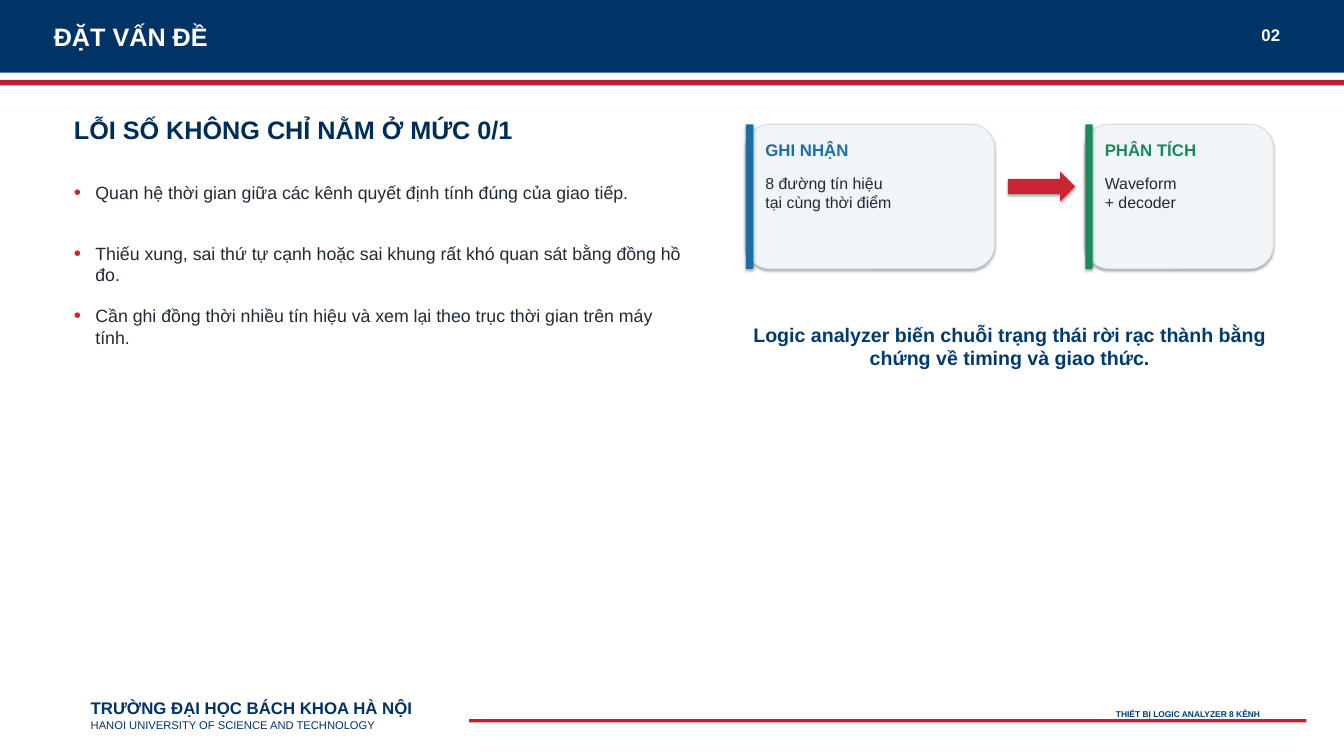
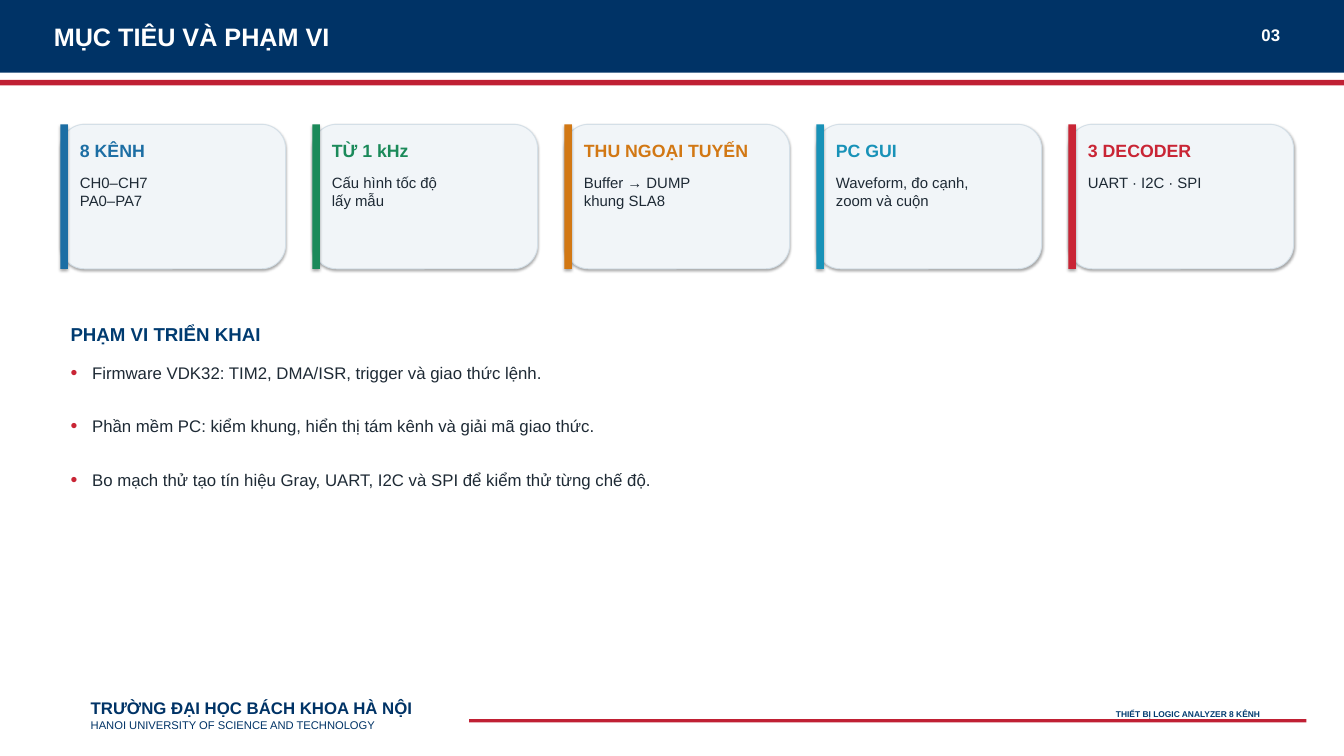
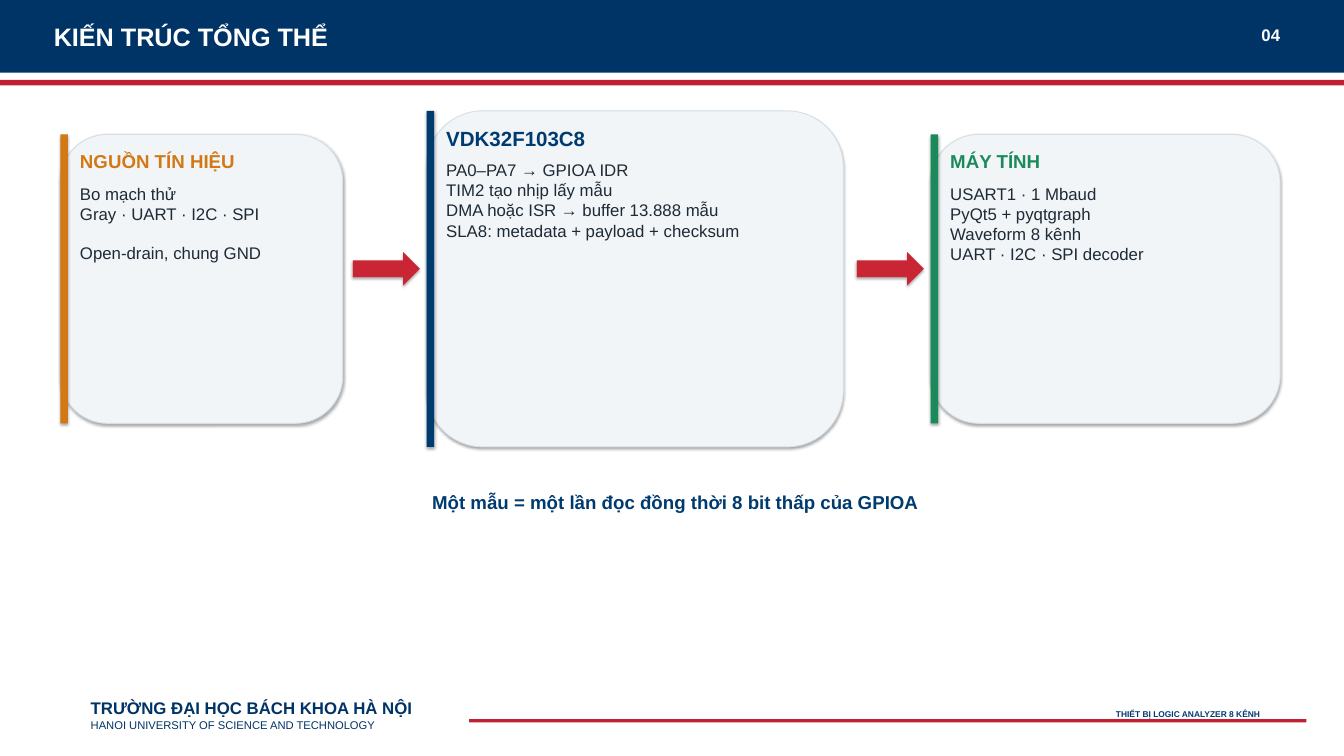
from dataclasses import dataclass

from lxml.etree import SubElement
from pptx import Presentation
from pptx.dml.color import RGBColor
from pptx.enum.shapes import MSO_SHAPE as SHAPE
from pptx.enum.text import MSO_ANCHOR as ANCHOR, MSO_AUTO_SIZE as AUTO, PP_ALIGN as ALIGN
from pptx.oxml.ns import qn
from pptx.util import Inches, Pt


@dataclass(frozen=True)
class Theme:
    font: str = "Arial"
    band: str = "003366"
    rule: str = "C02034"
    navy: str = "003B70"
    deep: str = "002D57"
    ink: str = "1E2A35"
    white: str = "FFFFFF"
    card: str = "F1F5F8"
    edge: str = "D4DFE7"
    blue: str = "1C6EA4"
    green: str = "1B8A5A"
    orange: str = "D27814"
    cyan: str = "1892B8"
    red: str = "C92535"
    title: int = 27
    callout: int = 21
    heading: int = 20
    body: int = 18
    small: int = 12
    tag: int = 9
    line: float = 1.15


T = Theme()
TITLE_AND_BODY, TITLE_ONLY = 1, 5


def rgb(color):
    return RGBColor.from_string(color)


def put(tf, text, size=T.body, color=T.ink, bold=False, align=ALIGN.LEFT,
        before=0, after=0, leading=None):
    p = tf.paragraphs[0]
    if p.text:
        p = tf.add_paragraph()
    p.text = text
    p.alignment = align
    p.space_before, p.space_after = Pt(before), Pt(after)
    if leading:
        p.line_spacing = Pt(leading)
    for r in p.runs:
        r.font.name, r.font.size, r.font.bold = T.font, Pt(size), bold
        r.font.color.rgb = rgb(color)
    return p


def place(sp, box, anchor=ANCHOR.TOP, inset=0.05):
    sp.left, sp.top, sp.width, sp.height = map(Inches, box)
    tf = sp.text_frame
    tf.word_wrap, tf.auto_size, tf.vertical_anchor = True, AUTO.NONE, anchor
    tf.margin_left = tf.margin_right = tf.margin_top = tf.margin_bottom = Inches(inset)
    return tf


def text_frame(s, box, anchor=ANCHOR.TOP, inset=0.05):
    return place(s.shapes.add_textbox(0, 0, 0, 0), box, anchor, inset)


def label(s, box, text, anchor=ANCHOR.TOP, **fmt):
    put(text_frame(s, box, anchor), text, **fmt)


def block(s, kind, box, fill, line=None, shadow=True):
    sp = s.shapes.add_shape(kind, *map(Inches, box))
    sp.fill.solid()
    sp.fill.fore_color.rgb = rgb(fill)
    if line:
        sp.line.color.rgb = rgb(line)
        sp.line.width = Pt(1)
    else:
        sp.line.fill.background()
    if not shadow:
        sp.shadow.inherit = False


def arrow(s, box):
    block(s, SHAPE.RIGHT_ARROW, box, T.red)


def card(s, box, heading, paragraphs, accent, head_size=T.heading, size=T.body):
    x, y, w, h = box
    block(s, SHAPE.ROUNDED_RECTANGLE, box, T.card, T.edge)
    block(s, SHAPE.RECTANGLE, (x, y, 0.11, h), accent)
    label(s, (x + 0.24, y + 0.18, w - 0.42, 0.42), heading,
          size=head_size, color=accent, bold=True)
    tf = text_frame(s, (x + 0.24, y + 0.68, w - 0.42, h - 0.82))
    for i, text in enumerate(paragraphs):
        put(tf, text, size=size, before=size * T.line if i else 0)


def bullets(s, box, items, pitch, size):
    tf = place(s.placeholders[1], box)
    for text, lines in items:
        p = put(tf, text, size=size, after=pitch * 72 - lines * size * T.line)
        pPr = p._p.get_or_add_pPr()
        pPr.set("marL", str(Inches(0.32)))
        pPr.set("indent", str(-Inches(0.32)))
        SubElement(SubElement(pPr, qn("a:buClr")), qn("a:srgbClr"), val=T.red)
        SubElement(pPr, qn("a:buSzPct"), val="116000")
        SubElement(pPr, qn("a:buFont"), typeface=T.font)
        SubElement(pPr, qn("a:buChar"), char="•")


def new_slide(prs, layout, number, title):
    s = prs.slides.add_slide(prs.slide_layouts[layout])
    for box, color in (((0, 0, 20, 1.08), T.band), ((0, 1.19, 20, 0.08), T.rule),
                       ((6.98, 10.7, 12.46, 0.05), T.rule)):
        block(s, SHAPE.RECTANGLE, box, color, shadow=False)
    s.shapes.element.append(s.shapes.title.element)
    put(place(s.shapes.title, (0.75, 0.27, 16.8, 0.55), ANCHOR.MIDDLE), title,
        size=T.title, color=T.white, bold=True)
    label(s, (18.1, 0.27, 1, 0.5), f"{number:02}", ANCHOR.MIDDLE,
          color=T.white, bold=True, align=ALIGN.RIGHT)
    tf = text_frame(s, (1.35, 10.22, 5.4, 0.84), ANCHOR.MIDDLE, inset=0)
    put(tf, "TRƯỜNG ĐẠI HỌC BÁCH KHOA HÀ NỘI", color=T.band, bold=True, leading=21.6)
    put(tf, "HANOI UNIVERSITY OF SCIENCE AND TECHNOLOGY",
        size=T.small, color=T.band, leading=14.4)
    label(s, (13.7, 10.5, 5.1, 0.25), "THIẾT BỊ LOGIC ANALYZER 8 KÊNH",
          size=T.tag, color=T.navy, bold=True, align=ALIGN.RIGHT)
    return s


def problem_slide(prs):
    s = new_slide(prs, TITLE_AND_BODY, 2, "ĐẶT VẤN ĐỀ")
    label(s, (1.05, 1.65, 8.6, 0.62), "LỖI SỐ KHÔNG CHỈ NẰM Ở MỨC 0/1",
          size=T.title, color=T.deep, bold=True)
    bullets(s, (1.05, 2.65, 9.2, 2.7), (
        ("Quan hệ thời gian giữa các kênh quyết định tính đúng của giao tiếp.", 1),
        ("Thiếu xung, sai thứ tự cạnh hoặc sai khung rất khó quan sát bằng đồng hồ đo.", 2),
        ("Cần ghi đồng thời nhiều tín hiệu và xem lại theo trục thời gian trên máy tính.", 2),
    ), pitch=0.9, size=19)
    card(s, (11.1, 1.85, 3.7, 2.15), "GHI NHẬN", ["8 đường tín hiệu\ntại cùng thời điểm"],
         T.blue, head_size=18, size=17)
    arrow(s, (15, 2.55, 1, 0.45))
    card(s, (16.15, 1.85, 2.8, 2.15), "PHÂN TÍCH", ["Waveform\n+ decoder"],
         T.green, head_size=18, size=17)
    label(s, (11.1, 4.55, 7.85, 1.2),
          "Logic analyzer biến chuỗi trạng thái rời rạc thành bằng chứng về timing và giao thức.",
          ANCHOR.MIDDLE, size=T.callout, color=T.navy, bold=True, align=ALIGN.CENTER)


def scope_slide(prs):
    s = new_slide(prs, TITLE_AND_BODY, 3, "MỤC TIÊU VÀ PHẠM VI")
    goals = (
        ("8 KÊNH", "CH0–CH7\nPA0–PA7", T.blue),
        ("TỪ 1 kHz", "Cấu hình tốc độ\nlấy mẫu", T.green),
        ("THU NGOẠI TUYẾN", "Buffer → DUMP\nkhung SLA8", T.orange),
        ("PC GUI", "Waveform, đo cạnh,\nzoom và cuộn", T.cyan),
        ("3 DECODER", "UART · I2C · SPI", T.red),
    )
    for i, (heading, text, accent) in enumerate(goals):
        card(s, (0.9 + i * 3.75, 1.85, 3.35, 2.15), heading, [text], accent,
             head_size=19, size=16)
    label(s, (1, 4.75, 4.2, 0.45), "PHẠM VI TRIỂN KHAI",
          size=T.heading, color=T.navy, bold=True)
    bullets(s, (1, 5.35, 17.5, 2.34), (
        ("Firmware VDK32: TIM2, DMA/ISR, trigger và giao thức lệnh.", 1),
        ("Phần mềm PC: kiểm khung, hiển thị tám kênh và giải mã giao thức.", 1),
        ("Bo mạch thử tạo tín hiệu Gray, UART, I2C và SPI để kiểm thử từng chế độ.", 1),
    ), pitch=0.78, size=T.body)


def architecture_slide(prs):
    s = new_slide(prs, TITLE_ONLY, 4, "KIẾN TRÚC TỔNG THỂ")
    card(s, (0.9, 2, 4.2, 4.3), "NGUỒN TÍN HIỆU",
         ["Bo mạch thử\nGray · UART · I2C · SPI", "Open-drain, chung GND"], T.orange)
    card(s, (6.35, 1.65, 6.2, 5), "VDK32F103C8",
         ["PA0–PA7 → GPIOA IDR\nTIM2 tạo nhịp lấy mẫu\n"
          "DMA hoặc ISR → buffer 13.888 mẫu\nSLA8: metadata + payload + checksum"],
         T.navy, head_size=22)
    card(s, (13.85, 2, 5.2, 4.3), "MÁY TÍNH",
         ["USART1 · 1 Mbaud\nPyQt5 + pyqtgraph\nWaveform 8 kênh\nUART · I2C · SPI decoder"],
         T.green)
    for x in (5.25, 12.75):
        arrow(s, (x, 3.75, 1, 0.5))
    label(s, (4.7, 7.25, 10.7, 0.65), "Một mẫu = một lần đọc đồng thời 8 bit thấp của GPIOA",
          size=T.heading, color=T.navy, bold=True, align=ALIGN.CENTER)


def main():
    prs = Presentation()
    prs.slide_width, prs.slide_height = Inches(20), Inches(11.25)
    problem_slide(prs)
    scope_slide(prs)
    architecture_slide(prs)
    prs.save("out.pptx")


if __name__ == "__main__":
    main()
